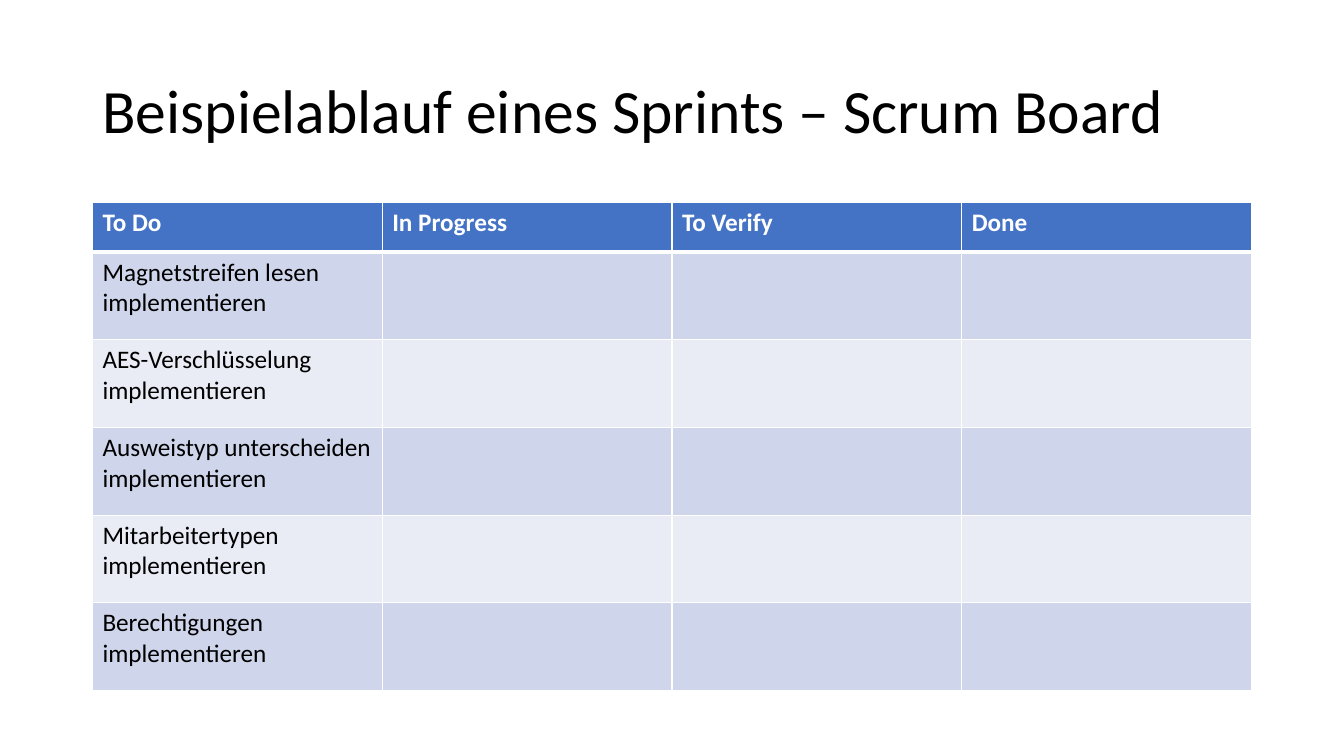
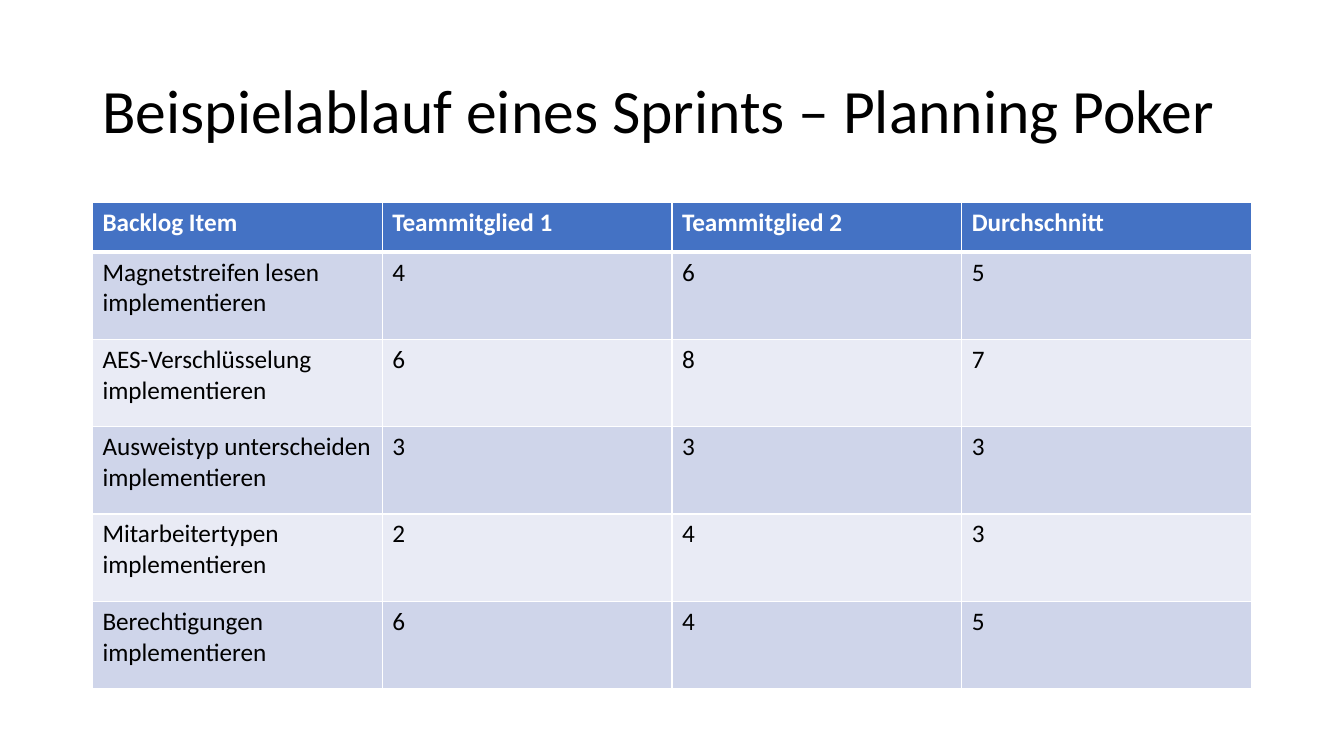
from lxml.etree import SubElement
from pptx import Presentation
from pptx.dml.color import RGBColor
from pptx.enum.text import MSO_ANCHOR, MSO_AUTO_SIZE, PP_ALIGN
from pptx.oxml.ns import qn
from pptx.util import Cm, Pt

FONT = "Calibri"
BLACK = "000000"
WHITE = "FFFFFF"
HEADER_FILL = "4472C4"
BAND_FILLS = ("CFD5EA", "E9EBF5")

LEFT = Cm(2.33)
CONTENT_WIDTH = Cm(29.21)
TITLE_TOP = Cm(1.01)
TITLE_HEIGHT = Cm(3.68)
TABLE_TOP = Cm(5.09)
HEADER_HEIGHT = Cm(1.26)

BACKLOG = (
    "Magnetstreifen lesen implementieren",
    "AES-Verschlüsselung implementieren",
    "Ausweistyp unterscheiden implementieren",
    "Mitarbeitertypen implementieren",
    "Berechtigungen implementieren",
)
ESTIMATES = ((4, 6, 5), (6, 8, 7), (3, 3, 3), (2, 4, 3), (6, 4, 5))


def color(hex_string):
    return RGBColor.from_string(hex_string)


def style_paragraph(paragraph, size, font_color, bold=False):
    paragraph.alignment = PP_ALIGN.LEFT
    font = paragraph.font
    font.name = FONT
    font.size = Pt(size)
    font.bold = bold
    font.color.rgb = color(font_color)


def add_titled_slide(presentation, text):
    slide = presentation.slides.add_slide(presentation.slide_layouts[5])
    title = slide.shapes.title
    title.left, title.top = LEFT, TITLE_TOP
    title.width, title.height = CONTENT_WIDTH, TITLE_HEIGHT
    frame = title.text_frame
    frame.text = text
    frame.auto_size = MSO_AUTO_SIZE.NONE
    frame.vertical_anchor = MSO_ANCHOR.MIDDLE
    paragraph = frame.paragraphs[0]
    paragraph.line_spacing = 0.9
    style_paragraph(paragraph, 44, BLACK)
    return slide


def set_borders(cell, top, bottom):
    properties = cell._tc.get_or_add_tcPr()
    for side, width in (("lnL", 1), ("lnR", 1), ("lnT", top), ("lnB", bottom)):
        line = SubElement(properties, qn(f"a:{side}"), w=str(Pt(width)))
        fill = SubElement(line, qn("a:solidFill"))
        SubElement(fill, qn("a:srgbClr"), val=WHITE)


def format_cell(cell, value, row_index):
    is_header = row_index == 0
    set_borders(cell, 3 if row_index == 1 else 1, 3 if is_header else 1)
    cell.fill.solid()
    cell.fill.fore_color.rgb = color(
        HEADER_FILL if is_header else BAND_FILLS[(row_index - 1) % 2])
    cell.text = str(value)
    style_paragraph(cell.text_frame.paragraphs[0], 18,
                    WHITE if is_header else BLACK, is_header)


def add_board(slide, headings, items, row_height):
    rows = [headings, *items]
    table_height = HEADER_HEIGHT + row_height * len(items)
    table = slide.shapes.add_table(
        len(rows), len(headings), LEFT, TABLE_TOP,
        CONTENT_WIDTH, table_height).table
    for row_index, values in enumerate(rows):
        table.rows[row_index].height = row_height if row_index else HEADER_HEIGHT
        for column_index, value in enumerate(values):
            format_cell(table.cell(row_index, column_index), value, row_index)


def main():
    presentation = Presentation()
    presentation.slide_width = Cm(33.87)
    presentation.slide_height = Cm(19.05)

    slide = add_titled_slide(
        presentation, "Beispielablauf eines Sprints – Scrum Board")
    add_board(slide, ("To Do", "In Progress", "To Verify", "Done"),
              [(item, "", "", "") for item in BACKLOG], Cm(2.21))

    slide = add_titled_slide(
        presentation, "Beispielablauf eines Sprints – Planning Poker")
    add_board(slide, ("Backlog Item", "Teammitglied 1", "Teammitglied 2",
                      "Durchschnitt"),
              [(item, *points) for item, points in zip(BACKLOG, ESTIMATES)],
              Cm(2.2))

    presentation.save("out.pptx")


main()
